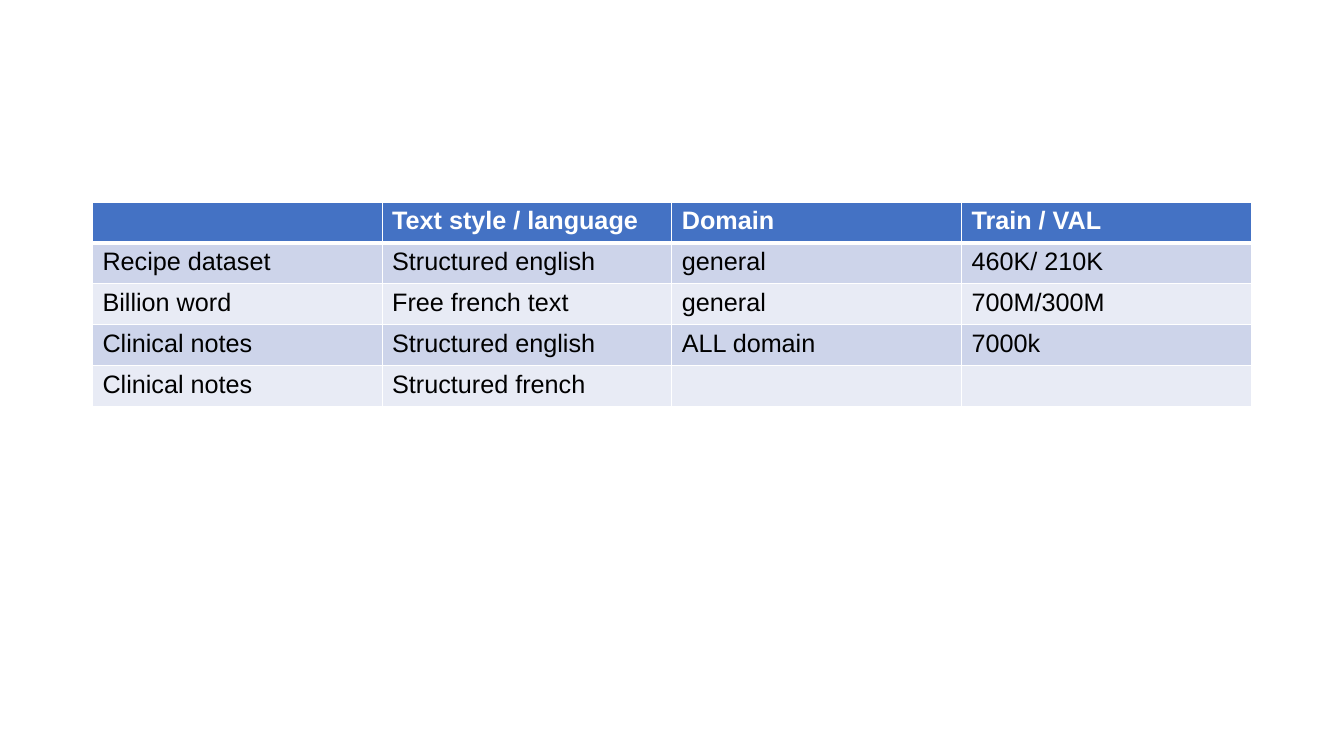
from dataclasses import dataclass

from lxml.etree import SubElement
from pptx import Presentation
from pptx.dml.color import RGBColor
from pptx.oxml.ns import qn
from pptx.util import Cm, Pt


@dataclass(frozen=True)
class Theme:
    font: str = "Arial"
    size: int = 18
    header: str = "4472C4"
    bands: tuple = ("CDD4EA", "E8EBF5")
    light: str = "FFFFFF"
    dark: str = "000000"
    thin: int = 1
    thick: int = 3


theme = Theme()


def add_border(cell, side, width):
    line = SubElement(cell._tc.get_or_add_tcPr(), qn(f"a:{side}"), w=str(Pt(width)))
    fill = SubElement(line, qn("a:solidFill"))
    SubElement(fill, qn("a:srgbClr"), val=theme.light)


datasets = [
    ("", "Text style / language", "Domain", "Train / VAL"),
    ("Recipe dataset", "Structured english", "general", "460K/ 210K"),
    ("Billion word", "Free french text", "general", "700M/300M"),
    ("Clinical notes", "Structured english", "ALL domain", "7000k"),
    ("Clinical notes", "Structured french", "", ""),
]

deck = Presentation()
deck.slide_width = Cm(33.87)
deck.slide_height = Cm(19.05)
page = deck.slides.add_slide(deck.slide_layouts[6])

column_width = Cm(7.3)
row_height = Cm(1.03)
row_count = len(datasets)
column_count = len(datasets[0])
table = page.shapes.add_table(
    row_count, column_count, Cm(2.33), Cm(5.09),
    column_width * column_count, row_height * row_count,
).table

for column in table.columns:
    column.width = column_width

for row_index, values in enumerate(datasets):
    table.rows[row_index].height = row_height
    is_header = row_index == 0
    fill_color = theme.header if is_header else theme.bands[(row_index - 1) % 2]
    text_color = theme.light if is_header else theme.dark
    top_width = theme.thick if row_index == 1 else theme.thin
    bottom_width = theme.thick if is_header else theme.thin
    for column_index, value in enumerate(values):
        cell = table.cell(row_index, column_index)
        add_border(cell, "lnL", theme.thin)
        add_border(cell, "lnR", theme.thin)
        add_border(cell, "lnT", top_width)
        add_border(cell, "lnB", bottom_width)
        cell.fill.solid()
        cell.fill.fore_color.rgb = RGBColor.from_string(fill_color)
        if value:
            span = cell.text_frame.paragraphs[0].add_run()
            span.text = value
            span.font.name = theme.font
            span.font.size = Pt(theme.size)
            span.font.bold = is_header
            span.font.color.rgb = RGBColor.from_string(text_color)

deck.save("out.pptx")
